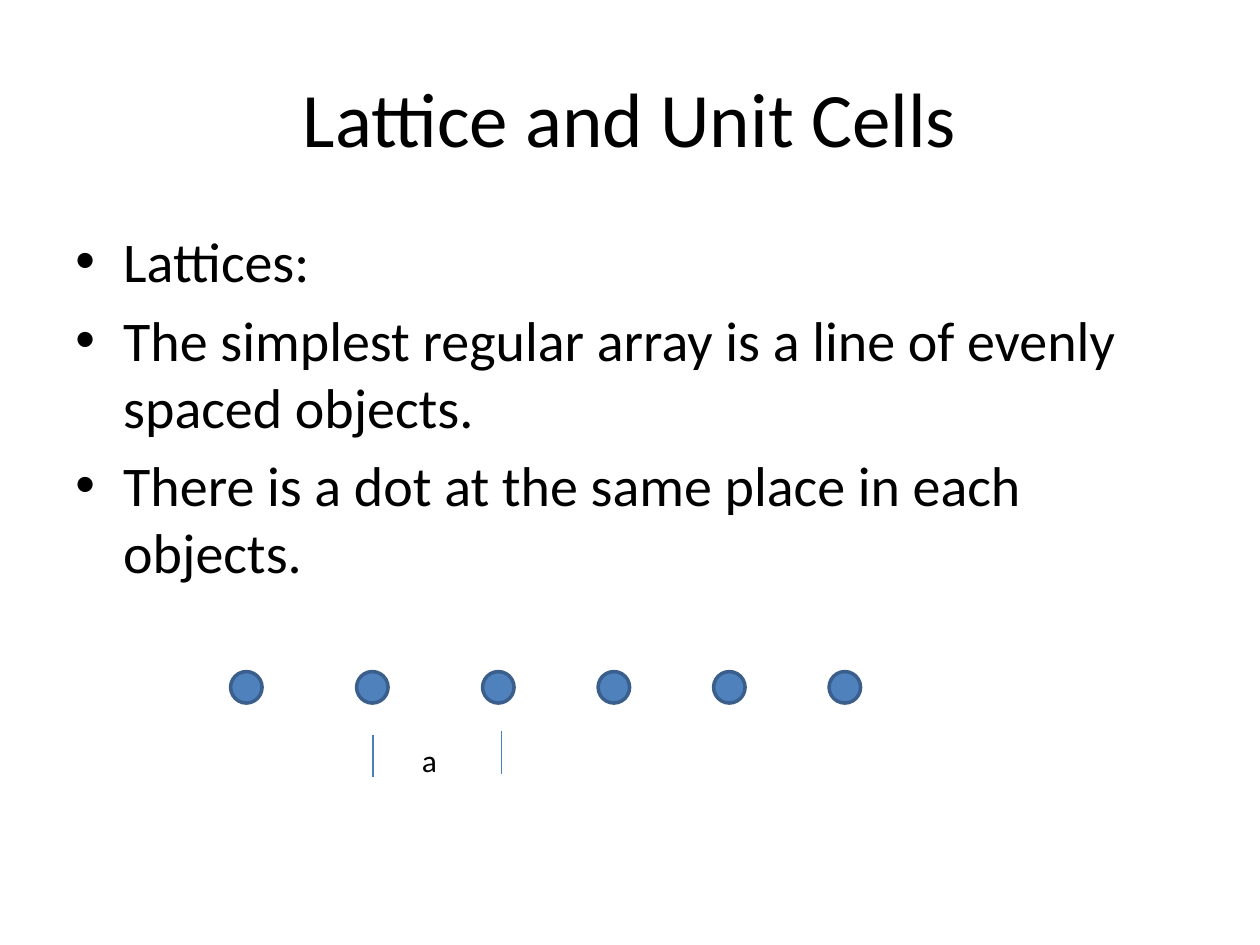
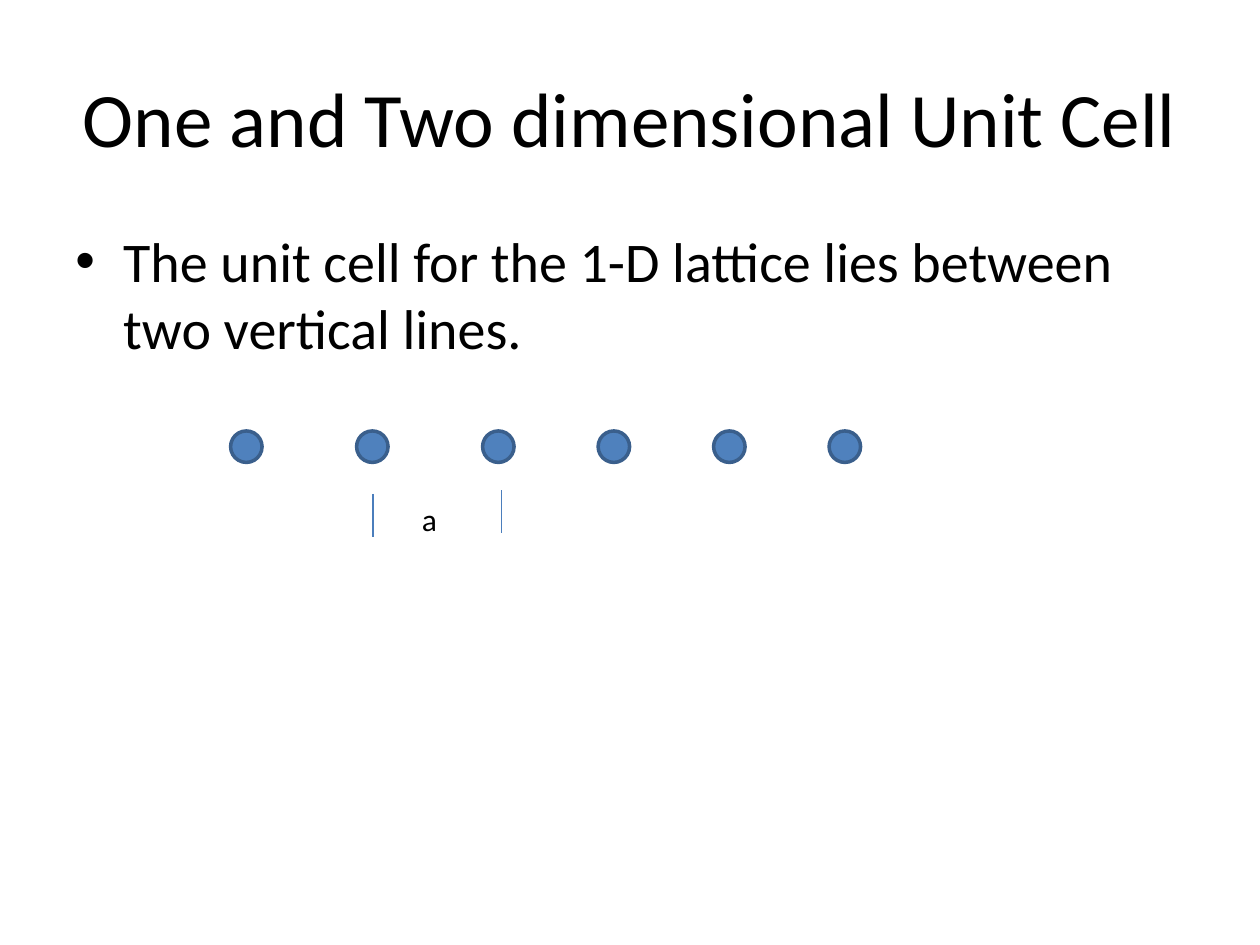
from lxml import etree
from pptx import Presentation
from pptx.dml.color import RGBColor
from pptx.enum import shapes, text
from pptx.oxml import ns
from pptx.util import Inches, Pt

BLACK = RGBColor(0x00, 0x00, 0x00)
DOT_FILL = RGBColor(0x4F, 0x81, 0xBD)
DOT_EDGE = RGBColor(0x3A, 0x5F, 0x8C)
MARK_BLUE = RGBColor(0x4B, 0x7E, 0xBC)
FONT = "Calibri"
TITLE_BOX = (0.5, 0.3, 9, 1.25)
BODY_BOX = (0.5, 1.75, 9, 4.95)
INDENT = Inches(0.38)
DOT_SIZE = 0.25
DOT_COUNT = 6
WIDE_STEPS = 2
WIDE_STEP = 1
NARROW_STEP = 11 / 12
MARK_HEIGHT = 0.34


def add_bullet(para):
    properties = para._p.get_or_add_pPr()
    properties.set("marL", str(INDENT))
    properties.set("indent", str(-INDENT))
    font = etree.SubElement(properties, ns.qn("a:buFont"))
    font.set("typeface", "Arial")
    bullet = etree.SubElement(properties, ns.qn("a:buChar"))
    bullet.set("char", "•")


def write_text(frame, *lines, size, align=text.PP_ALIGN.LEFT,
               anchor=text.MSO_ANCHOR.TOP, wrap=True, bulleted=False, gap=0):
    frame.word_wrap = wrap
    frame.vertical_anchor = anchor
    for index, line in enumerate(lines):
        para = frame.add_paragraph() if index else frame.paragraphs[0]
        para.alignment = align
        if index:
            para.space_before = Pt(gap)
        if bulleted:
            add_bullet(para)
        span = para.add_run()
        span.text = line
        span.font.name = FONT
        span.font.size = Pt(size)
        span.font.color.rgb = BLACK


def add_title(page, title):
    box = page.shapes.title
    box.left, box.top, box.width, box.height = map(Inches, TITLE_BOX)
    write_text(box.text_frame, title, size=44, align=text.PP_ALIGN.CENTER,
               anchor=text.MSO_ANCHOR.MIDDLE)


def add_body(page, lines):
    box = page.shapes.add_textbox(*map(Inches, BODY_BOX))
    write_text(box.text_frame, *lines, size=32, bulleted=True, gap=6.4)


def add_dot(page, left, top):
    dot = page.shapes.add_shape(shapes.MSO_SHAPE.OVAL, Inches(left), Inches(top),
                                Inches(DOT_SIZE), Inches(DOT_SIZE))
    dot.shadow.inherit = False
    dot.fill.solid()
    dot.fill.fore_color.rgb = DOT_FILL
    dot.line.color.rgb = DOT_EDGE
    dot.line.width = Pt(2)


def add_mark(page, left, top):
    mark = page.shapes.add_connector(
        shapes.MSO_CONNECTOR.STRAIGHT, Inches(left), Inches(top),
        Inches(left), Inches(top + MARK_HEIGHT))
    mark.line.color.rgb = MARK_BLUE
    mark.line.width = Pt(0.75)
    etree.SubElement(mark._element.spPr, ns.qn("a:effectLst"))


def add_lattice(page, left, top):
    for index in range(DOT_COUNT):
        wide = min(index, WIDE_STEPS)
        offset = wide * WIDE_STEP + (index - wide) * NARROW_STEP
        add_dot(page, left + offset, top)
    add_mark(page, left + 1.13, top + 0.5)
    add_mark(page, left + 2.15, top + 0.47)
    label = page.shapes.add_textbox(Inches(left + 1.42), Inches(top + 0.5),
                                    Inches(0.32), Inches(0.4))
    write_text(label.text_frame, "a", size=18, wrap=False)


def add_lattice_slide(deck, title, lines, lattice_top):
    page = deck.slides.add_slide(deck.slide_layouts[5])
    add_title(page, title)
    add_body(page, lines)
    add_lattice(page, 1.83, lattice_top)


def main():
    deck = Presentation()
    deck.slide_width, deck.slide_height = Inches(10), Inches(7.5)
    add_lattice_slide(deck, "Lattice and Unit Cells", [
        "Lattices:",
        "The simplest regular array is a line of evenly spaced objects.",
        "There is a dot at the same place in each objects.",
    ], 5.33)
    add_lattice_slide(deck, "One and Two dimensional Unit Cell", [
        "The unit cell for the 1-D lattice lies between two vertical lines.",
    ], 3.42)
    deck.save("out.pptx")


if __name__ == "__main__":
    main()
